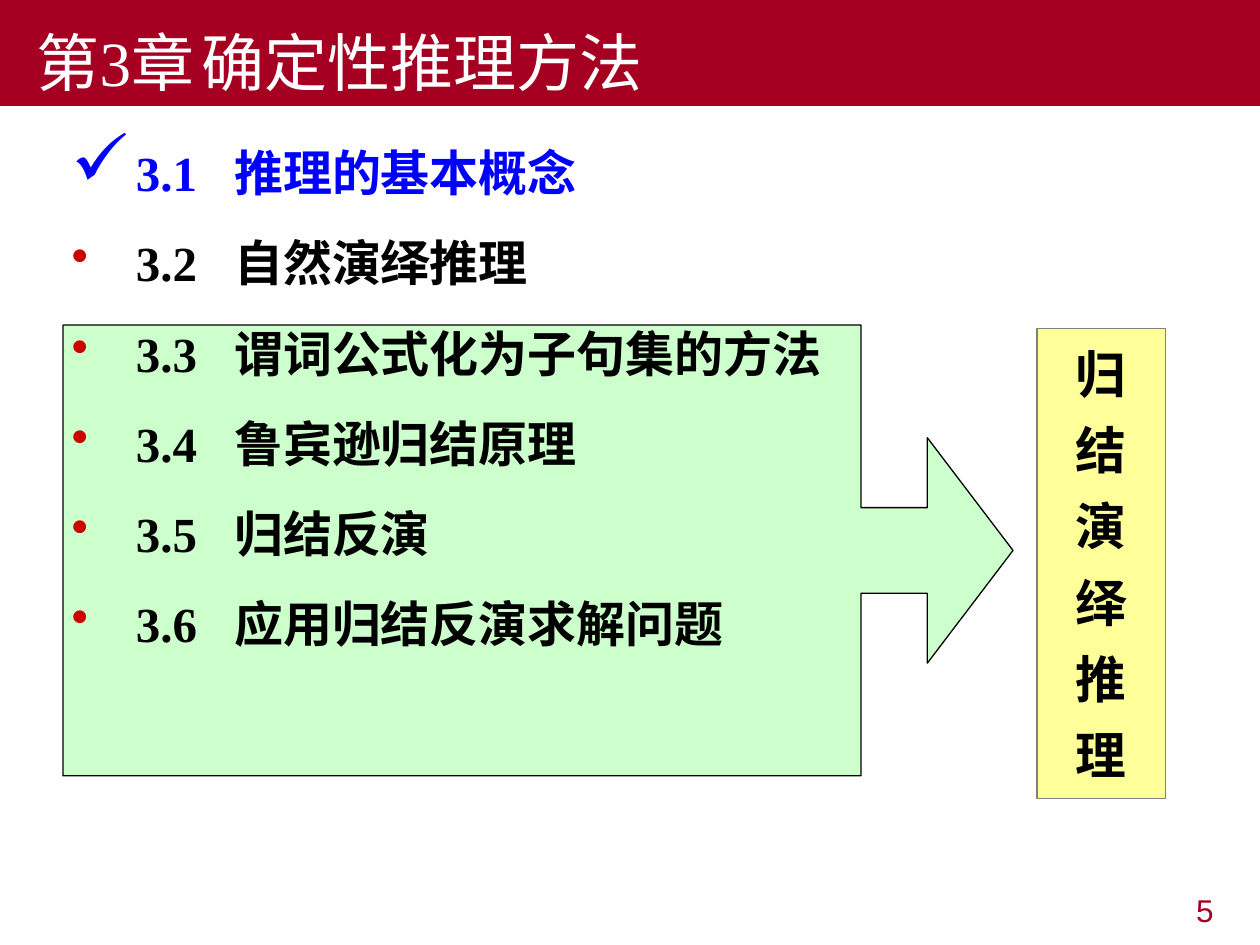
from dataclasses import dataclass

from lxml.etree import SubElement
from pptx import Presentation
from pptx.dml.color import RGBColor as Color
from pptx.enum.shapes import MSO_SHAPE as Preset
from pptx.enum.text import MSO_ANCHOR as Anchor, MSO_AUTO_SIZE as AutoSize, PP_ALIGN as Align
from pptx.oxml.ns import qn
from pptx.util import Inches, Pt


@dataclass(frozen=True)
class Theme:
    serif: str = "Times New Roman"
    sans: str = "Arial"
    crimson: str = "A50021"
    white: str = "FFFFFF"
    black: str = "000000"
    current: str = "0000FF"
    bullet: str = "CC0000"
    green: str = "CCFFCC"
    yellow: str = "FFFF99"
    gray: str = "808080"
    title_size: float = 36
    list_size: float = 28
    label_size: float = 29
    number_size: float = 18


THEME = Theme()
WIDTH, HEIGHT = 10, 7.5
TITLE = "第3章\t确定性推理方法"
SECTIONS = [
    "推理的基本概念",
    "自然演绎推理",
    "谓词公式化为子句集的方法",
    "鲁宾逊归结原理",
    "归结反演",
    "应用归结反演求解问题",
]
LABEL = "归结演绎推理"


def region(left, top, width, height):
    return (Inches(left * WIDTH), Inches(top * HEIGHT),
            Inches(width * WIDTH), Inches(height * HEIGHT))


def style(para, family, size, color, bold=False):
    font = para.font
    font.name, font.size, font.bold = family, Pt(size), bold
    font.color.rgb = Color.from_string(color)


def indent(para, margin, first):
    props = para._p.get_or_add_pPr()
    props.set("marL", str(Inches(margin)))
    props.set("indent", str(Inches(first)))
    return props


def add_tab(props, position):
    stops = SubElement(props, qn("a:tabLst"))
    SubElement(stops, qn("a:tab"), pos=str(Inches(position)), algn="l")


def add_bullet(props, mark, color, percent):
    tint = SubElement(props, qn("a:buClr"))
    SubElement(tint, qn("a:srgbClr"), val=color)
    SubElement(props, qn("a:buSzPct"), val=str(percent * 1000))
    SubElement(props, qn("a:buChar"), char=mark)


def paragraphs(frame, texts, gap):
    for index, text in enumerate(texts):
        para = frame.add_paragraph() if index else frame.paragraphs[0]
        para.text = text
        para.space_before = Pt(gap if index else 0)
        yield para


def add_block(page, preset, box, fill, line):
    shape = page.shapes.add_shape(preset, *box)
    shape.shadow.inherit = False
    shape.fill.solid()
    shape.fill.fore_color.rgb = Color.from_string(fill)
    shape.line.color.rgb = Color.from_string(line)
    shape.line.width = Pt(0.75)
    return shape


def add_text(page, box):
    frame = page.shapes.add_textbox(*box).text_frame
    frame.word_wrap = True
    return frame


def title_band(page, box):
    title = page.shapes.title
    title.left, title.top, title.width, title.height = box
    title.fill.solid()
    title.fill.fore_color.rgb = Color.from_string(THEME.crimson)
    frame = title.text_frame
    frame.auto_size, frame.vertical_anchor = AutoSize.NONE, Anchor.BOTTOM
    frame.text = TITLE
    para = frame.paragraphs[0]
    para.alignment = Align.LEFT
    add_tab(indent(para, 0, 0.19), 1.92)
    style(para, THEME.serif, THEME.title_size, THEME.white)


def callout(page, box):
    shape = add_block(page, Preset.RIGHT_ARROW_CALLOUT, box, THEME.green, THEME.black)
    for index, share in enumerate((0.19, 0.25, 0.19, 0.84)):
        shape.adjustments[index] = share


def vertical_label(page, box):
    shape = add_block(page, Preset.RECTANGLE, box, THEME.yellow, THEME.gray)
    frame = shape.text_frame
    frame.vertical_anchor = Anchor.MIDDLE
    for para in paragraphs(frame, LABEL, THEME.label_size * 0.3):
        para.alignment = Align.CENTER
        style(para, THEME.sans, THEME.label_size, THEME.black, bold=True)


def section_list(page, box):
    texts = [f"3.{number}\t{name}" for number, name in enumerate(SECTIONS, 1)]
    frame = add_text(page, box)
    for index, para in enumerate(paragraphs(frame, texts, THEME.list_size * 0.4)):
        mark, tint, percent, color = (
            ("•", THEME.bullet, 100, THEME.black) if index
            else ("✓", THEME.current, 150, THEME.current))
        para.line_spacing = 1.2
        props = indent(para, 0.51, -0.51)
        add_bullet(props, mark, tint, percent)
        add_tab(props, 1.29)
        style(para, THEME.serif, THEME.list_size, color, bold=True)


def page_number(page, box):
    para = add_text(page, box).paragraphs[0]
    para.text = "5"
    para.alignment = Align.RIGHT
    style(para, THEME.sans, THEME.number_size, THEME.crimson)


def main():
    deck = Presentation()
    deck.slide_width, deck.slide_height = Inches(WIDTH), Inches(HEIGHT)
    page = deck.slides.add_slide(deck.slide_layouts[5])
    title_band(page, region(0, 0, 1, 0.112))
    callout(page, region(0.05, 0.344, 0.754, 0.477))
    vertical_label(page, region(0.823, 0.348, 0.102, 0.497))
    section_list(page, region(0.047, 0.132, 0.945, 0.788))
    page_number(page, region(0.74, 0.936, 0.233, 0.069))
    deck.save("out.pptx")


if __name__ == "__main__":
    main()
